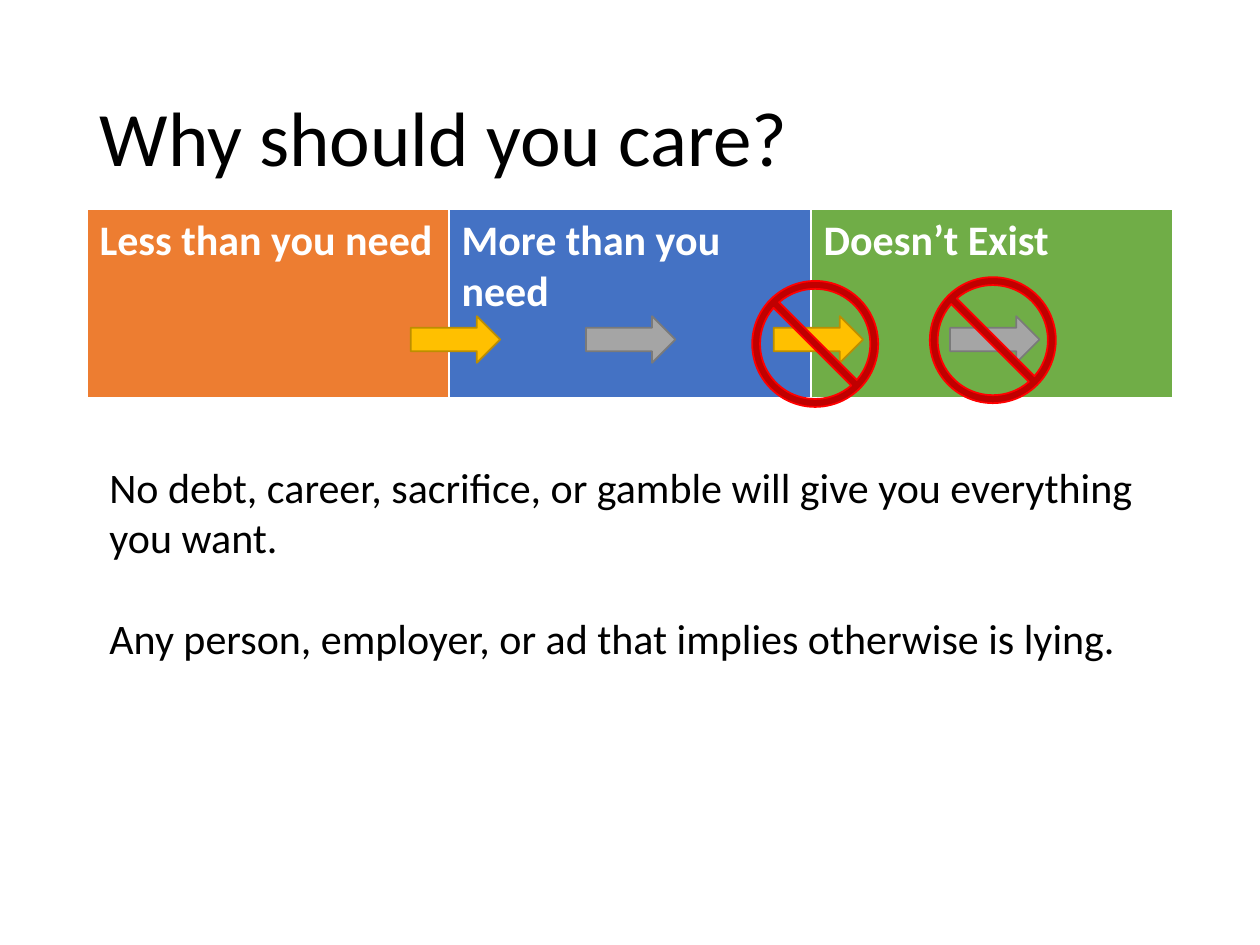
import pptx
import pptx.dml.color
import pptx.enum.shapes
import pptx.enum.text
import pptx.util
from pptx.util import Inches

SHAPES = pptx.enum.shapes.MSO_SHAPE


def color(value):
    """Turn a hex string into a colour."""
    return pptx.dml.color.RGBColor.from_string(value)


def write(paragraph, text, size=24, fill="000000", bold=False, spacing=1.0, before=0):
    """Fill a paragraph with formatted, left-aligned text."""
    paragraph.alignment = pptx.enum.text.PP_ALIGN.LEFT
    paragraph.line_spacing = spacing
    paragraph.space_before = pptx.util.Pt(before)
    run = paragraph.add_run()
    run.text = text
    run.font.name = "Calibri"
    run.font.size = pptx.util.Pt(size)
    run.font.bold = bold
    run.font.color.rgb = color(fill)


class SlideBuilder:
    """Hold the shared style and the current slide."""

    left = 0.69
    width = 8.62

    def __init__(self, presentation):
        """Add a title-only slide."""
        self.slide = presentation.slides.add_slide(presentation.slide_layouts[5])

    def title(self, text):
        """Place and format the title."""
        title = self.slide.shapes.title
        title.left, title.top = Inches(self.left), Inches(0.4)
        title.width, title.height = Inches(self.width), Inches(1.45)
        title.text_frame.vertical_anchor = pptx.enum.text.MSO_ANCHOR.MIDDLE
        write(title.text_frame.paragraphs[0], text, size=44, spacing=0.9)

    def table(self, top, height, columns):
        """Add a one-row table from pairs of heading and fill."""
        frame = self.slide.shapes.add_table(
            1, len(columns), Inches(self.left), Inches(top), Inches(self.width), Inches(height))
        for cell, (heading, fill) in zip(frame.table.rows[0].cells, columns):
            cell.fill.solid()
            cell.fill.fore_color.rgb = color(fill)
            write(cell.text_frame.paragraphs[0], heading, fill="FFFFFF", bold=True)

    def symbol(self, kind, left, top, width, height, fill, line):
        """Add a filled and outlined preset shape."""
        shape = self.slide.shapes.add_shape(
            kind, Inches(left), Inches(top), Inches(width), Inches(height))
        shape.shadow.inherit = False
        shape.fill.solid()
        shape.fill.fore_color.rgb = color(fill)
        shape.line.color.rgb = color(line)
        shape.line.width = pptx.util.Pt(1)
        return shape

    def arrow(self, left, fill, line):
        """Add an arrow on the common arrow row."""
        self.symbol(SHAPES.RIGHT_ARROW, left, 2.51, 0.71, 0.37, fill, line)

    def prohibition(self, left, top):
        """Add a thin red prohibition sign."""
        sign = self.symbol(SHAPES.NO_SYMBOL, left, top, 1, 1, "C00000", "FF0000")
        sign.adjustments[0] = 0.063

    def text(self, left, top, width, height, paragraphs, gap):
        """Add a wrapped text box with a gap between paragraphs."""
        box = self.slide.shapes.add_textbox(
            Inches(left), Inches(top), Inches(width), Inches(height))
        frame = box.text_frame
        frame.word_wrap = True
        frame.auto_size = pptx.enum.text.MSO_AUTO_SIZE.SHAPE_TO_FIT_TEXT
        for index, text in enumerate(paragraphs):
            paragraph = frame.add_paragraph() if index else frame.paragraphs[0]
            write(paragraph, text, before=gap if index else 0)


def main():
    """Build and save the presentation."""
    presentation = pptx.Presentation()
    presentation.slide_width, presentation.slide_height = Inches(10), Inches(7.5)
    builder = SlideBuilder(presentation)
    builder.title("Why should you care?")
    builder.table(1.66, 1.5, [
        ("Less than you need", "ED7D31"),
        ("More than you need", "4472C4"),
        ("Doesn’t Exist", "70AD47"),
    ])
    for fill, line, lefts in [("FFC000", "BD8E00", (3.26, 6.14)),
                              ("A5A5A5", "7A7A7A", (4.65, 7.54))]:
        for left in lefts:
            builder.arrow(left, fill, line)
    builder.text(0.77, 3.61, 8.54, 1.72, [
        "No debt, career, sacrifice, or gamble will give you everything you want.",
        "Any person, employer, or ad that implies otherwise is lying.",
    ], gap=29)
    builder.prohibition(5.97, 2.23)
    builder.prohibition(7.38, 2.2)
    presentation.save("out.pptx")


if __name__ == "__main__":
    main()
